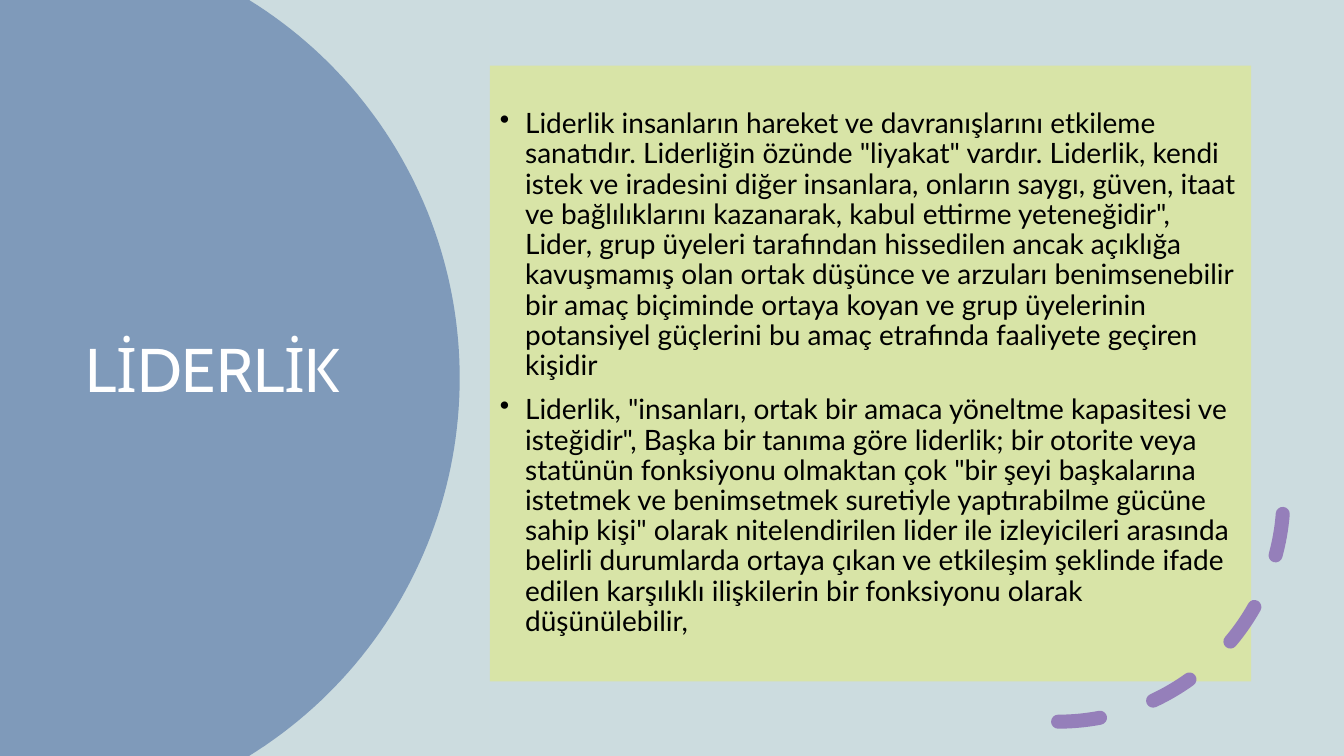
import math
from dataclasses import dataclass

import pptx
import pptx.dml.color
import pptx.enum.dml
import pptx.enum.shapes
import pptx.enum.text
import pptx.oxml
import pptx.oxml.ns
import pptx.util
from pptx.util import Inches


@dataclass(frozen=True)
class Theme:
    background: str = "CCDCDF"
    panel: str = "7F9ABA"
    note: str = "FFFF00"
    note_opacity: int = 25
    accent: str = "957FBA"
    title_color: str = "FFFFFF"
    body_color: str = "000000"
    title_font: str = "Cabin"
    body_font: str = "Lato"
    title_size: int = 44
    body_size: int = 20
    arc_width: int = 10


THEME = Theme()
SLIDE_WIDTH, SLIDE_HEIGHT = 13.33, 7.5

TITLE = "LİDERLİK"
DEFINITIONS = [
    'Liderlik insanların hareket ve davranışlarını etkileme sanatıdır. '
    'Liderliğin özünde "liyakat" vardır. Liderlik, kendi istek ve iradesini '
    'diğer insanlara, onların saygı, güven, itaat ve bağlılıklarını kazanarak, '
    'kabul ettirme yeteneğidir", Lider, grup üyeleri tarafından hissedilen '
    'ancak açıklığa kavuşmamış olan ortak düşünce ve arzuları benimsenebilir '
    'bir amaç biçiminde ortaya koyan ve grup üyelerinin potansiyel güçlerini '
    'bu amaç etrafında faaliyete geçiren kişidir',
    'Liderlik, "insanları, ortak bir amaca yöneltme kapasitesi ve isteğidir", '
    'Başka bir tanıma göre liderlik; bir otorite veya statünün fonksiyonu '
    'olmaktan çok "bir şeyi başkalarına istetmek ve benimsetmek suretiyle '
    'yaptırabilme gücüne sahip kişi" olarak nitelendirilen lider ile '
    'izleyicileri arasında belirli durumlarda ortaya çıkan ve etkileşim '
    'şeklinde ifade edilen karşılıklı ilişkilerin bir fonksiyonu olarak '
    'düşünülebilir,',
]


def rgb(color):
    return pptx.dml.color.RGBColor.from_string(color)


def paint(fill, color):
    fill.solid()
    fill.fore_color.rgb = rgb(color)


def add_bullet(paragraph, indent):
    properties = paragraph._p.get_or_add_pPr()
    properties.set("marL", str(Inches(indent)))
    properties.set("indent", str(Inches(-indent)))
    bullet = pptx.oxml.parse_xml(
        f'<a:buChar {pptx.oxml.ns.nsdecls("a")} char="•"/>')
    properties.append(bullet)


def write_text(shape, texts, *, font, size, color, bullet_indent=None, space_before=0):
    frame = shape.text_frame
    frame.word_wrap = True
    frame.vertical_anchor = pptx.enum.text.MSO_ANCHOR.MIDDLE
    for index, text in enumerate(texts):
        paragraph = frame.add_paragraph() if index else frame.paragraphs[0]
        paragraph.text = text
        if bullet_indent:
            add_bullet(paragraph, bullet_indent)
        paragraph.alignment = pptx.enum.text.PP_ALIGN.LEFT
        paragraph.line_spacing = 0.9
        if index:
            paragraph.space_before = pptx.util.Pt(space_before)
        paragraph.font.name = font
        paragraph.font.size = pptx.util.Pt(size)
        paragraph.font.color.rgb = rgb(color)


def add_title_panel(slide, left, top, width, height):
    radius = 4.41
    center_x, center_y = left + width - radius, top + height / 2
    limit = math.asin(height / 2 / radius)
    steps = 90
    angles = [limit * (2 * step / steps - 1) for step in range(steps + 1)]
    curve = [(Inches(center_x + radius * math.cos(angle)),
              Inches(center_y + radius * math.sin(angle))) for angle in angles]
    builder = slide.shapes.build_freeform(Inches(left), Inches(top))
    builder.add_line_segments(curve + [(Inches(left), Inches(top + height))], close=True)
    panel = builder.convert_to_shape()
    panel.shadow.inherit = False
    paint(panel.fill, THEME.panel)
    panel.line.fill.background()

    title = slide.shapes.add_textbox(
        Inches(left + 0.75), Inches(top + 1.26), Inches(3.5), Inches(4.88))
    write_text(title, [TITLE], font=THEME.title_font, size=THEME.title_size,
               color=THEME.title_color)


def add_definitions(slide, left, top, width, height):
    note = slide.shapes.add_shape(
        pptx.enum.shapes.MSO_SHAPE.RECTANGLE,
        Inches(left), Inches(top), Inches(width), Inches(height))
    note.shadow.inherit = False
    paint(note.fill, THEME.note)
    note.line.fill.background()
    color = note._element.spPr.find(".//" + pptx.oxml.ns.qn("a:srgbClr"))
    color.append(pptx.oxml.parse_xml(
        f'<a:alpha {pptx.oxml.ns.nsdecls("a")} val="{THEME.note_opacity * 1000}"/>'))
    write_text(note, DEFINITIONS, font=THEME.body_font, size=THEME.body_size,
               color=THEME.body_color, bullet_indent=0.25, space_before=10)


def add_dashed_arc(slide, left, top, size):
    arc = slide.shapes.add_shape(
        pptx.enum.shapes.MSO_SHAPE.ARC,
        Inches(left), Inches(top), Inches(size), Inches(size))
    arc.shadow.inherit = False
    arc.fill.background()
    paint(arc.line.fill, THEME.accent)
    arc.line.width = pptx.util.Pt(THEME.arc_width)
    arc.line.dash_style = pptx.enum.dml.MSO_LINE.DASH
    properties = arc._element.spPr
    properties.find(pptx.oxml.ns.qn("a:ln")).set("cap", "rnd")
    properties.find(pptx.oxml.ns.qn("a:xfrm")).set("flipV", "1")


def main():
    presentation = pptx.Presentation()
    presentation.slide_width = Inches(SLIDE_WIDTH)
    presentation.slide_height = Inches(SLIDE_HEIGHT)
    slide = presentation.slides.add_slide(presentation.slide_layouts[6])
    paint(slide.background.fill, THEME.background)
    add_title_panel(slide, 0, 0, 4.56, SLIDE_HEIGHT)
    add_definitions(slide, 4.86, 0.65, 7.55, 6.11)
    add_dashed_arc(slide, 8.26, 2.69, 4.47)
    presentation.save("out.pptx")


if __name__ == "__main__":
    main()
